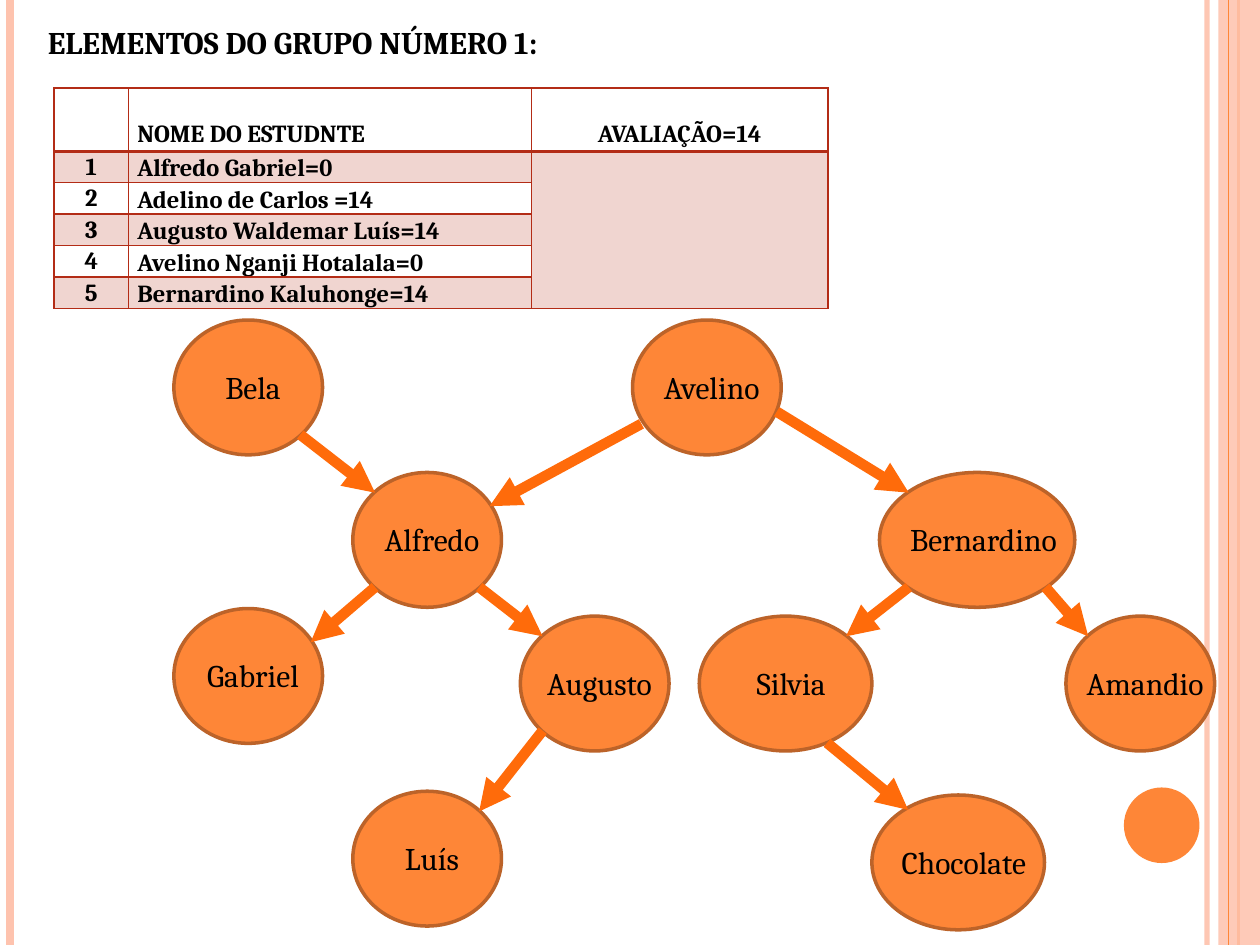
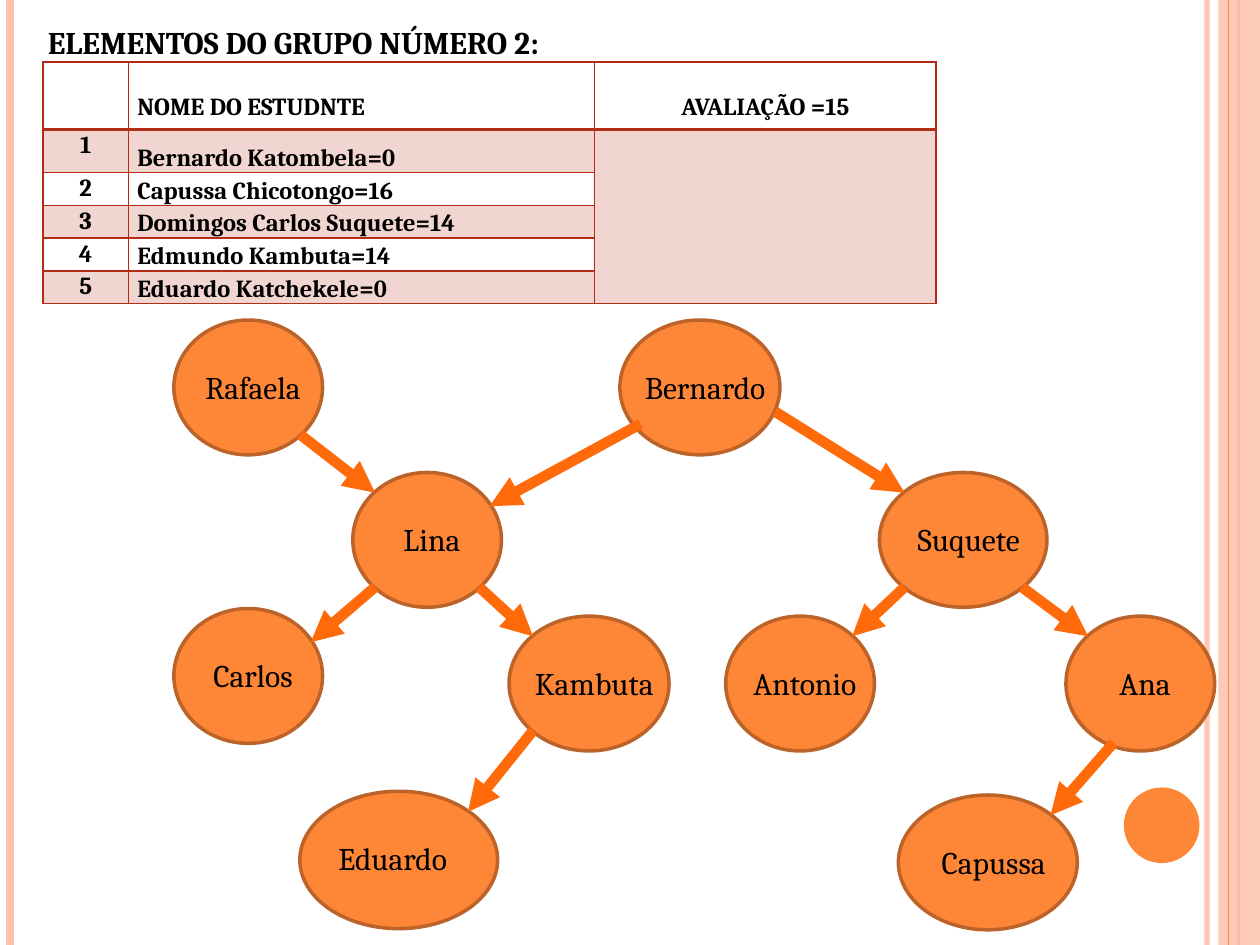
from dataclasses import dataclass
from typing import NamedTuple

from lxml import etree
from pptx import Presentation
from pptx.dml.color import RGBColor
from pptx.enum.shapes import MSO_CONNECTOR, MSO_SHAPE
from pptx.enum.text import MSO_ANCHOR, MSO_AUTO_SIZE, PP_ALIGN
from pptx.oxml.ns import qn
from pptx.util import Inches, Pt

STRAIGHT = MSO_CONNECTOR.STRAIGHT
ELLIPSE, RECTANGLE = MSO_SHAPE.OVAL, MSO_SHAPE.RECTANGLE
TOP, BOTTOM = MSO_ANCHOR.TOP, MSO_ANCHOR.BOTTOM
LEFT, CENTER, JUSTIFY = PP_ALIGN.LEFT, PP_ALIGN.CENTER, PP_ALIGN.JUSTIFY
NO_AUTOFIT = MSO_AUTO_SIZE.NONE

FONT = "Cambria"
BLACK, ORANGE, PEACH = "000000", "FE8637", "FEC3AE"
NODE_EDGE, ARROW_COLOR = "BC6329", "FF6B0A"
TABLE_EDGE, ROW_TINT = "B32C16", "F0D5D0"
TITLE_ONLY = 5
PAGE_WIDTH, PAGE_HEIGHT = 10, 7.5
NODE_HEIGHT = 1.07
LABEL_RATIO = 1.065


class Spot(NamedTuple):
    across: float
    down: float


UPPER_LEFT, UPPER_RIGHT = Spot(0.15, 0.15), Spot(0.85, 0.15)
LOWER_LEFT, LOWER_RIGHT = Spot(0.15, 0.85), Spot(0.85, 0.85)
RIGHT_ABOVE, RIGHT_BELOW = Spot(0.92, 0.25), Spot(0.97, 0.68)


@dataclass
class Person:
    name: str
    left: float
    top: float
    width: float = 1.18
    height: float = NODE_HEIGHT
    label_shift: float = 0

    def point(self, spot: Spot) -> tuple[float, float]:
        return self.left + spot.across * self.width, self.top + spot.down * self.height


class Branch(NamedTuple):
    parent: str
    start: Spot
    child: str
    end: Spot


class Roster(NamedTuple):
    left: float
    top: float
    columns: list[float]
    rows: list[float]
    grade: str
    students: list[str]


class Group(NamedTuple):
    title: str
    roster: Roster
    people: list[Person]
    branches: list[Branch]


class Rule(NamedTuple):
    x: float
    color: str
    weight: float
    opacity: int = 100


RULES_BEHIND = [Rule(9.58, PEACH, 3, 93), Rule(0.08, PEACH, 4.5), Rule(9.83, ORANGE, 1.5)]
RULE_IN_FRONT = Rule(9.75, ORANGE, 0.75)

GROUPS = [
    Group(
        "ELEMENTOS DO GRUPO NÚMERO 1:",
        Roster(0.43, 0.7, [0.59, 3.2, 2.35], [0.5] + [0.25] * 5, "AVALIAÇÃO=14",
               ["Alfredo Gabriel=0", "Adelino de Carlos =14", "Augusto Waldemar Luís=14",
                "Avelino Nganji Hotalala=0", "Bernardino Kaluhonge=14"]),
        [Person("Bela", 1.38, 2.54), Person("Alfredo", 2.8, 3.75),
         Person("Gabriel", 1.38, 4.83), Person("Augusto", 4.13, 4.89),
         Person("Avelino", 5.02, 2.54), Person("Bernardino", 6.98, 3.75, 1.55),
         Person("Amandio", 8.46, 4.89), Person("Silvia", 5.55, 4.89, 1.37),
         Person("Chocolate", 6.92, 6.31, 1.37), Person("Luís", 2.8, 6.28)],
        [Branch("Bela", LOWER_RIGHT, "Alfredo", UPPER_LEFT),
         Branch("Alfredo", LOWER_LEFT, "Gabriel", RIGHT_ABOVE),
         Branch("Alfredo", LOWER_RIGHT, "Augusto", UPPER_LEFT),
         Branch("Avelino", Spot(0.06, 0.77), "Alfredo", RIGHT_ABOVE),
         Branch("Avelino", RIGHT_BELOW, "Bernardino", UPPER_LEFT),
         Branch("Bernardino", LOWER_RIGHT, "Amandio", UPPER_LEFT),
         Branch("Bernardino", LOWER_LEFT, "Silvia", UPPER_RIGHT),
         Branch("Silvia", Spot(0.74, 0.94), "Chocolate", Spot(0.21, 0.11)),
         Branch("Augusto", LOWER_LEFT, "Luís", UPPER_RIGHT)],
    ),
    Group(
        "ELEMENTOS DO GRUPO NÚMERO 2:",
        Roster(0.34, 0.49, [0.68, 3.7, 2.71], [0.54, 0.34] + [0.26] * 4, "AVALIAÇÃO =15",
               ["Bernardo Katombela=0", "Capussa Chicotongo=16", "Domingos Carlos Suquete=14",
                "Edmundo Kambuta=14", "Eduardo Katchekele=0"]),
        [Person("Rafaela", 1.38, 2.54), Person("Lina", 2.8, 3.75),
         Person("Carlos", 1.38, 4.83), Person("Kambuta", 4.04, 4.89, 1.27),
         Person("Bernardo", 4.92, 2.54, 1.27), Person("Suquete", 6.98, 3.75, 1.33),
         Person("Ana", 8.46, 4.89), Person("Antonio", 5.76, 4.89),
         Person("Capussa", 7.13, 6.31, 1.42),
         Person("Eduardo", 2.38, 6.28, 1.57, 1.09, -0.1)],
        [Branch("Rafaela", LOWER_RIGHT, "Lina", UPPER_LEFT),
         Branch("Lina", LOWER_LEFT, "Carlos", RIGHT_ABOVE),
         Branch("Lina", LOWER_RIGHT, "Kambuta", UPPER_LEFT),
         Branch("Bernardo", Spot(0.13, 0.77), "Lina", RIGHT_ABOVE),
         Branch("Bernardo", RIGHT_BELOW, "Suquete", UPPER_LEFT),
         Branch("Suquete", LOWER_RIGHT, "Ana", UPPER_LEFT),
         Branch("Suquete", LOWER_LEFT, "Antonio", UPPER_RIGHT),
         Branch("Ana", Spot(0.32, 0.94), "Capussa", UPPER_RIGHT),
         Branch("Kambuta", LOWER_LEFT, "Eduardo", UPPER_RIGHT)],
    ),
]


def rgb(color: str) -> RGBColor:
    return RGBColor.from_string(color)


def write(frame, text: str, size: float, align, bold: bool = False) -> None:
    frame.text = text
    para = frame.paragraphs[0]
    para.alignment = align
    for span in para.runs:
        span.font.name = FONT
        span.font.size = Pt(size)
        span.font.bold = bold
        span.font.color.rgb = rgb(BLACK)


def set_opacity(shape, percent: int) -> None:
    color = next(shape.element.spPr.iter(qn("a:srgbClr")))
    etree.SubElement(color, qn("a:alpha"), val=str(percent * 1000))


def add_line(shapes, start: tuple, end: tuple, color: str, weight: float):
    line = shapes.add_connector(STRAIGHT, *(Inches(value) for value in (*start, *end)))
    line.line.color.rgb = rgb(color)
    line.line.width = Pt(weight)
    etree.SubElement(line.element.spPr, qn("a:effectLst"))
    return line


def add_filled(shapes, kind, left: float, top: float, width: float, height: float, color: str):
    shape = shapes.add_shape(kind, Inches(left), Inches(top), Inches(width), Inches(height))
    shape.shadow.inherit = False
    shape.fill.solid()
    shape.fill.fore_color.rgb = rgb(color)
    shape.line.fill.background()
    return shape


def add_rule(shapes, rule: Rule):
    line = add_line(shapes, (rule.x, 0), (rule.x, PAGE_HEIGHT), rule.color, rule.weight)
    if rule.opacity < 100:
        set_opacity(line, rule.opacity)
    return line


def decorate_layout(layout, page) -> None:
    parts = [add_rule(page.shapes, rule) for rule in RULES_BEHIND]
    band = add_filled(page.shapes, RECTANGLE, 9.67, 0, 0.33, PAGE_HEIGHT, PEACH)
    set_opacity(band, 87)
    parts += [band, add_rule(page.shapes, RULE_IN_FRONT)]
    parts.append(add_filled(page.shapes, ELLIPSE, 8.92, 6.25, 0.6, 0.6, ORANGE))
    for number, part in enumerate(parts, 101):
        next(part.element.iter(qn("p:cNvPr"))).set("id", str(number))
        layout.shapes.element.append(part.element)


def add_title(page, text: str) -> None:
    title = page.shapes.title
    title.left, title.top = Inches(0.28), Inches(0.13)
    title.width, title.height = Inches(8.19), Inches(0.4)
    frame = title.text_frame
    frame.auto_size = NO_AUTOFIT
    frame.vertical_anchor = TOP
    write(frame, text, 18, JUSTIFY, True)


def fill_cell(cell, text: str, align, anchor, tinted: bool, top_gap: float = 0) -> None:
    cell.margin_left = cell.margin_right = Inches(0.07)
    cell.margin_top, cell.margin_bottom = Inches(top_gap), 0
    cell.vertical_anchor = anchor
    if tinted:
        cell.fill.solid()
        cell.fill.fore_color.rgb = rgb(ROW_TINT)
    else:
        cell.fill.background()
    if text:
        write(cell.text_frame, text, 14, align, True)
        cell.text_frame.paragraphs[0].line_spacing = 1.07


def border_cell(properties, weights: dict[str, float]) -> None:
    for place, (side, weight) in enumerate(weights.items()):
        line = etree.Element(qn(f"a:{side}"), w=str(Pt(weight)))
        fill = etree.SubElement(line, qn("a:solidFill"))
        etree.SubElement(fill, qn("a:srgbClr"), val=TABLE_EDGE)
        properties.insert(place, line)


def add_roster(page, roster: Roster) -> None:
    frame = page.shapes.add_table(
        len(roster.rows), len(roster.columns), Inches(roster.left), Inches(roster.top),
        Inches(sum(roster.columns)), Inches(sum(roster.rows)))
    table = frame.table
    table.first_row = table.horz_banding = False
    for column, width in zip(table.columns, roster.columns):
        column.width = Inches(width)
    for row, height in zip(table.rows, roster.rows):
        row.height = Inches(height)

    for column, text in enumerate(["", "NOME DO ESTUDNTE", roster.grade]):
        fill_cell(table.cell(0, column), text, CENTER if column == 2 else LEFT, TOP, False, 0.24)
    for row, student in enumerate(roster.students, 1):
        tinted = row % 2 == 1
        fill_cell(table.cell(row, 0), str(row), CENTER, TOP, tinted)
        fill_cell(table.cell(row, 1), student, LEFT, BOTTOM, tinted)
        fill_cell(table.cell(row, 2), "", CENTER, TOP, True)
    table.cell(1, 2).merge(table.cell(len(roster.students), 2))

    for index, properties in enumerate(frame.element.iter(qn("a:tcPr"))):
        row = index // len(roster.columns)
        border_cell(properties, {"lnL": 1, "lnR": 1, "lnT": 2 if row == 1 else 1,
                                 "lnB": 2 if row == 0 else 1})
    for para in frame.element.iter(qn("a:p")):
        if para.find(qn("a:r")) is None:
            etree.SubElement(para, qn("a:endParaRPr"), sz="1400")


def add_person(page, person: Person) -> None:
    shapes = page.shapes.add_group_shape().shapes
    node = add_filled(shapes, ELLIPSE, person.left, person.top, person.width, person.height, ORANGE)
    node.line.color.rgb = rgb(NODE_EDGE)
    node.line.width = Pt(2)
    box = shapes.add_textbox(
        Inches(person.left + person.label_shift), Inches(person.top + 0.33),
        Inches(person.width * LABEL_RATIO), Inches(0.4))
    box.text_frame.word_wrap = True
    write(box.text_frame, person.name, 18, CENTER)


def add_tree(page, people: list[Person], branches: list[Branch]) -> None:
    for person in people:
        add_person(page, person)
    by_name = {person.name: person for person in people}
    for branch in branches:
        start = by_name[branch.parent].point(branch.start)
        end = by_name[branch.child].point(branch.end)
        arrow = add_line(page.shapes, start, end, ARROW_COLOR, 6)
        etree.SubElement(arrow.element.spPr.find(qn("a:ln")), qn("a:tailEnd"), type="triangle")


def main() -> None:
    deck = Presentation()
    deck.slide_width, deck.slide_height = Inches(PAGE_WIDTH), Inches(PAGE_HEIGHT)
    layout = deck.slide_layouts[TITLE_ONLY]
    pages = [deck.slides.add_slide(layout) for _ in GROUPS]
    decorate_layout(layout, pages[0])
    for page, group in zip(pages, GROUPS):
        add_title(page, group.title)
        add_roster(page, group.roster)
        add_tree(page, group.people, group.branches)
    deck.save("out.pptx")


if __name__ == "__main__":
    main()
